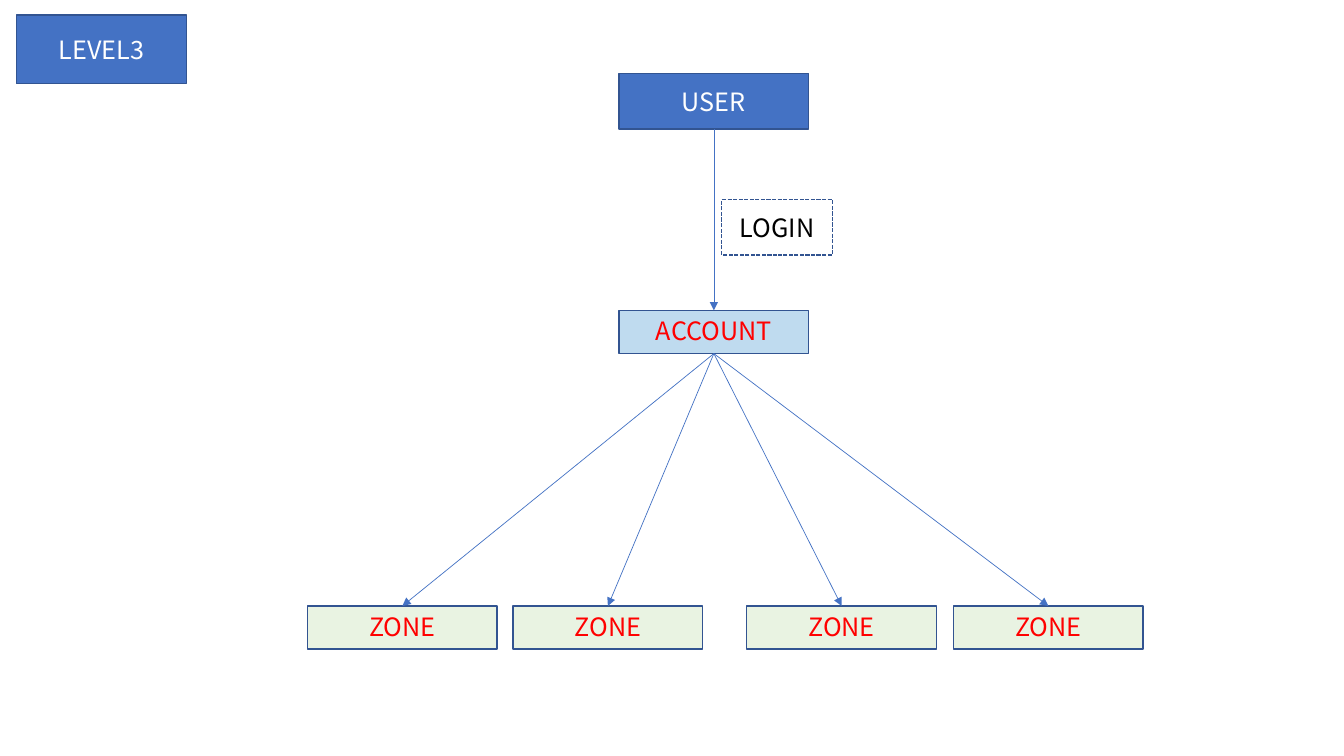
import pptx
import pptx.util
import pptx.dml.color
import pptx.enum.dml
import pptx.enum.shapes
import pptx.enum.text
import pptx.oxml.ns
from lxml import etree

Cm, Pt = pptx.util.Cm, pptx.util.Pt
ANCHOR = pptx.enum.text.MSO_ANCHOR
FONT = "Noto Sans CJK KR"
BLUE, EDGE, RED = "4472C4", "325491", "FF0000"
WIDE, TALL, FLAT = 4.78, 1.4, 1.09
MID = 15.6
TOP, BOTTOM = 0, 2  # connection sites of a rectangle


def color(code):
    """Turn a hex string into a colour."""
    return pptx.dml.color.RGBColor.from_string(code)


def add_tag(parent, tag, **attrs):
    """Append a drawing element to an XML parent."""
    return etree.SubElement(parent, pptx.oxml.ns.qn(tag), attrs)


def add_box(slide, text, left, top, width, height, fill=None, ink="FFFFFF",
            anchor=ANCHOR.MIDDLE):
    """Add a labelled rectangle; without a fill it is hollow and dashed."""
    box = slide.shapes.add_shape(
        pptx.enum.shapes.MSO_SHAPE.RECTANGLE,
        Cm(left), Cm(top), Cm(width), Cm(height))
    box.shadow.inherit = False
    box.line.color.rgb = color(EDGE)
    box.line.width = Pt(1)
    if fill:
        box.fill.solid()
        box.fill.fore_color.rgb = color(fill)
    else:
        box.fill.background()
        box.line.dash_style = pptx.enum.dml.MSO_LINE.SQUARE_DOT
    frame = box.text_frame
    frame.text = text
    frame.vertical_anchor = anchor
    par = frame.paragraphs[0]
    par.alignment = pptx.enum.text.PP_ALIGN.CENTER
    par.font.name = FONT
    par.font.size = Pt(18)
    par.font.color.rgb = color(ink)
    return box


def add_pale(slide, text, left, top, fill):
    """Add a flat box with red text and a fill at 25% opacity."""
    box = add_box(slide, text, left, top, WIDE, FLAT, fill, RED, ANCHOR.TOP)
    tint = box._element.spPr.find(
        "/".join(map(pptx.oxml.ns.qn, ("a:solidFill", "a:srgbClr"))))
    add_tag(tint, "a:alpha", val="25000")
    return box


def add_arrow(slide, start, end):
    """Link the bottom of one box to the top of another."""
    link = slide.shapes.add_connector(
        pptx.enum.shapes.MSO_CONNECTOR.STRAIGHT, 0, 0, 0, 0)
    link.begin_connect(start, BOTTOM)
    link.end_connect(end, TOP)
    link.line.color.rgb = color(BLUE)
    link.line.width = Pt(0.5)
    add_tag(link.line._get_or_add_ln(), "a:tailEnd", type="triangle")
    add_tag(link._element.spPr, "a:effectLst")


def main():
    """Build the login diagram and save it."""
    deck = pptx.Presentation()
    deck.slide_width, deck.slide_height = Cm(33.87), Cm(19.05)
    slide = deck.slides.add_slide(deck.slide_layouts.get_by_name("Blank"))

    user = add_box(slide, "USER", MID, 1.85, WIDE, TALL, BLUE)
    account = add_pale(slide, "ACCOUNT", MID, 7.82, "0070C0")
    zones = [add_pale(slide, "ZONE", left, 15.27, "A9D18E")
             for left in (7.75, 12.93, 18.82, 24.03)]

    add_arrow(slide, user, account)
    for zone in zones:
        add_arrow(slide, account, zone)

    add_box(slide, "LOGIN", 18.19, 5.03, 2.79, TALL, ink="000000")
    add_box(slide, "LEVEL3", 0.41, 0.38, 4.29, 1.73, BLUE)
    deck.save("out.pptx")


main()
